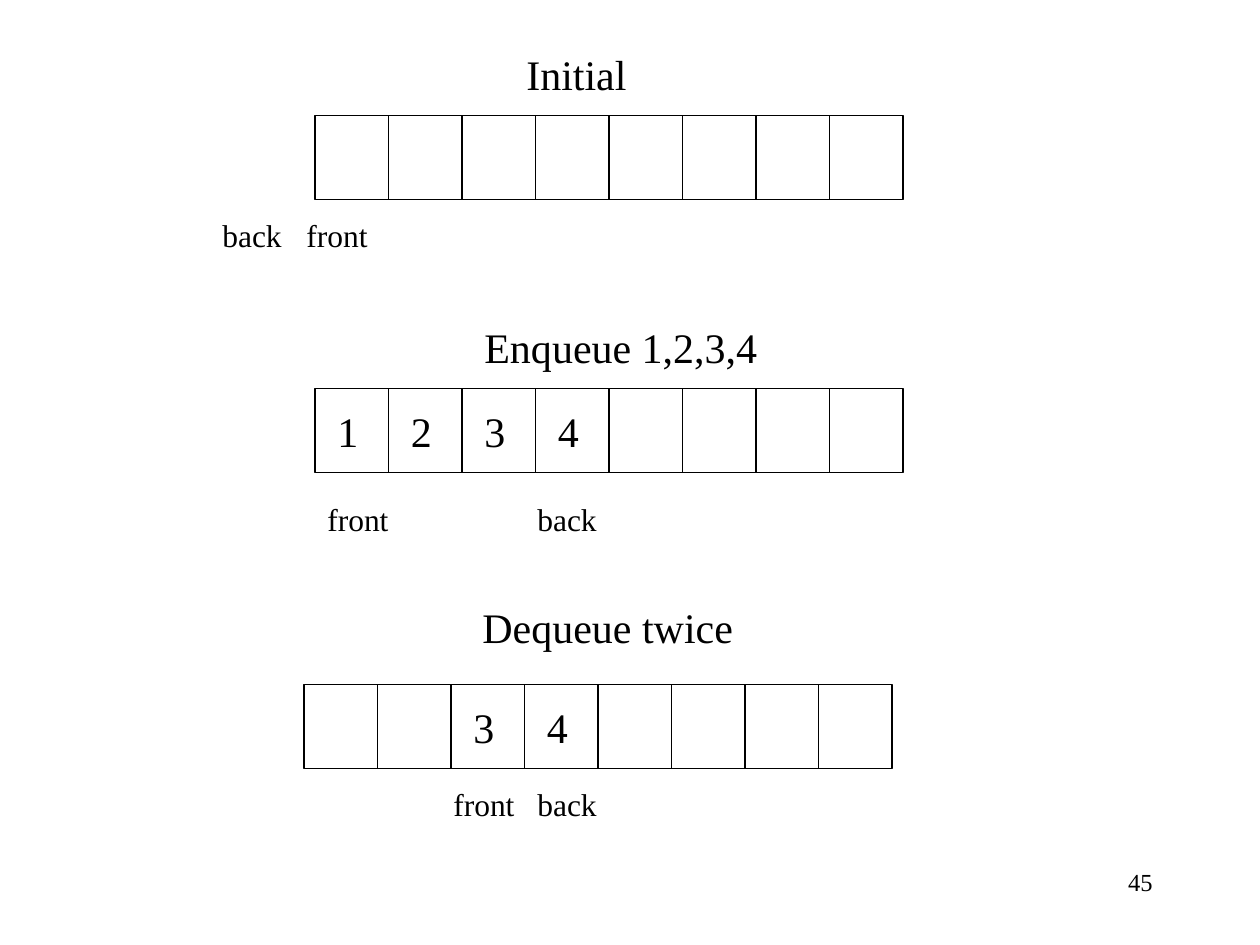
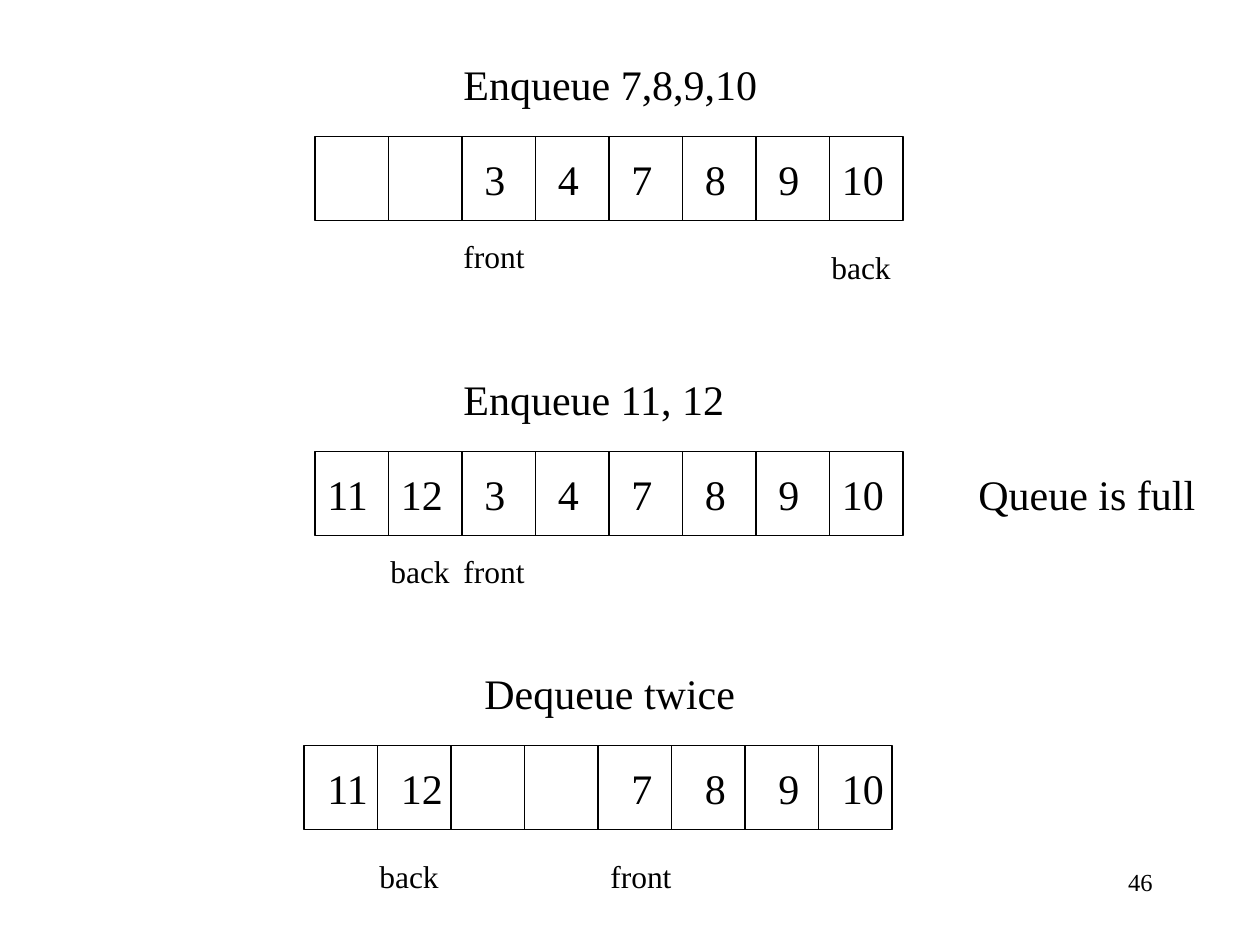
from dataclasses import dataclass
from lxml.etree import SubElement
from pptx import Presentation
from pptx.dml.color import RGBColor
from pptx.enum.shapes import MSO_CONNECTOR, MSO_SHAPE
from pptx.enum.text import MSO_AUTO_SIZE, PP_ALIGN
from pptx.oxml.ns import qn
from pptx.util import Emu, Pt


@dataclass(frozen=True)
class Theme:
    font: str = "Times New Roman"
    ink: RGBColor = RGBColor(0, 0, 0)
    line: float = 0.75
    body: int = 24
    label: int = 18
    page: int = 14


# Content: each queue has a title (text, x, y, width), a row origin, its
# values by cell, and the x, y of its front and back labels.
# "shift" moves the values right of their cells.
SLIDES = [
    {"page": "45", "queues": [
        {"title": ("Initial", 514, 42, 128), "row": (315, 115),
         "vals": [], "front": (294, 210), "back": (210, 210)},
        {"title": ("Enqueue 1,2,3,4", 472, 315, 300), "row": (315, 388),
         "vals": [1, 2, 3, 4], "front": (315, 494), "back": (525, 494)},
        {"title": ("Dequeue twice", 470, 595, 278), "row": (304, 684),
         "vals": [None, None, 3, 4], "front": (441, 779), "back": (525, 779)},
    ]},
    {"page": "46", "queues": [
        {"title": ("Enqueue 7,8,9,10", 451, 52, 320), "row": (315, 136),
         "vals": [None, None, 3, 4, 7, 8, 9, 10],
         "front": (451, 231), "back": (819, 242)},
        {"title": ("Enqueue 11, 12", 451, 367, 288), "row": (315, 451),
         "vals": [11, 12, 3, 4, 7, 8, 9, 10],
         "front": (451, 546), "back": (378, 546),
         "note": ("Queue is full", 966, 462, 243)},
        {"title": ("Dequeue twice", 472, 661, 278), "row": (304, 745),
         "vals": [11, 12, None, None, 7, 8, 9, 10], "shift": 11,
         "front": (598, 851), "back": (367, 851)},
    ]},
]

# Layout in pixels
SCALE = 914400 / 126
SIZE = (1260, 945)
CELLS, CELL, TALL = 8, 73.5, 84
HALF = 0.5  # keeps level rules crisp
INSET, DROP = 10, 11
HIGH = {Theme.body: 63, Theme.label: 50, Theme.page: 63}
WIDE = {"front": 88, "back": 86}
PAGE = (955, 861, 210)


def px(*vals):
    return [Emu(round(val * SCALE)) for val in vals]


def text(slide, words, x, y, wide, size, page=False):
    box = slide.shapes.add_textbox(*px(x, y, wide, HIGH[size]))
    frame = box.text_frame
    frame.word_wrap = page
    frame.auto_size = MSO_AUTO_SIZE.NONE if page else MSO_AUTO_SIZE.SHAPE_TO_FIT_TEXT
    para = frame.paragraphs[0]
    para.text = words
    para.alignment = PP_ALIGN.RIGHT if page else PP_ALIGN.LEFT
    para.font.name = Theme.font
    para.font.size = Pt(size)
    para.font.color.rgb = Theme.ink


def stroke(part):
    part.line.color.rgb = Theme.ink
    part.line.width = Pt(Theme.line)


def grid(slide, x, y):
    """Draw the outlined row and its dividers as one group."""
    group = slide.shapes.add_group_shape()
    rect = group.shapes.add_shape(MSO_SHAPE.RECTANGLE, *px(x, y, CELLS * CELL, TALL))
    rect.shadow.inherit = False
    rect.fill.background()
    stroke(rect)
    for i in range(1, CELLS):
        at = x + i * CELL
        rule = group.shapes.add_connector(
            MSO_CONNECTOR.STRAIGHT, *px(at, y, at, y + TALL))
        stroke(rule)
        SubElement(rule._element.spPr, qn("a:effectLst"))


def queue(slide, data):
    x, y = data["row"]
    grid(slide, x, y + HALF)
    text(slide, *data["title"], Theme.body)

    # Values: one digit sits inset, two digits start at the cell edge
    for i, val in enumerate(data["vals"]):
        if val is not None:
            words = str(val)
            left = x + i * CELL + data.get("shift", 0)
            left += INSET if len(words) == 1 else 0
            text(slide, words, left, y + DROP, 27 + 20 * len(words), Theme.body)

    # Pointers and side note
    for name, wide in WIDE.items():
        text(slide, name, *data[name], wide, Theme.label)
    if "note" in data:
        text(slide, *data["note"], Theme.body)


deck = Presentation()
deck.slide_width, deck.slide_height = px(*SIZE)
for item in SLIDES:
    slide = deck.slides.add_slide(deck.slide_layouts[6])
    text(slide, item["page"], *PAGE, Theme.page, page=True)
    for data in item["queues"]:
        queue(slide, data)
deck.save("out.pptx")
